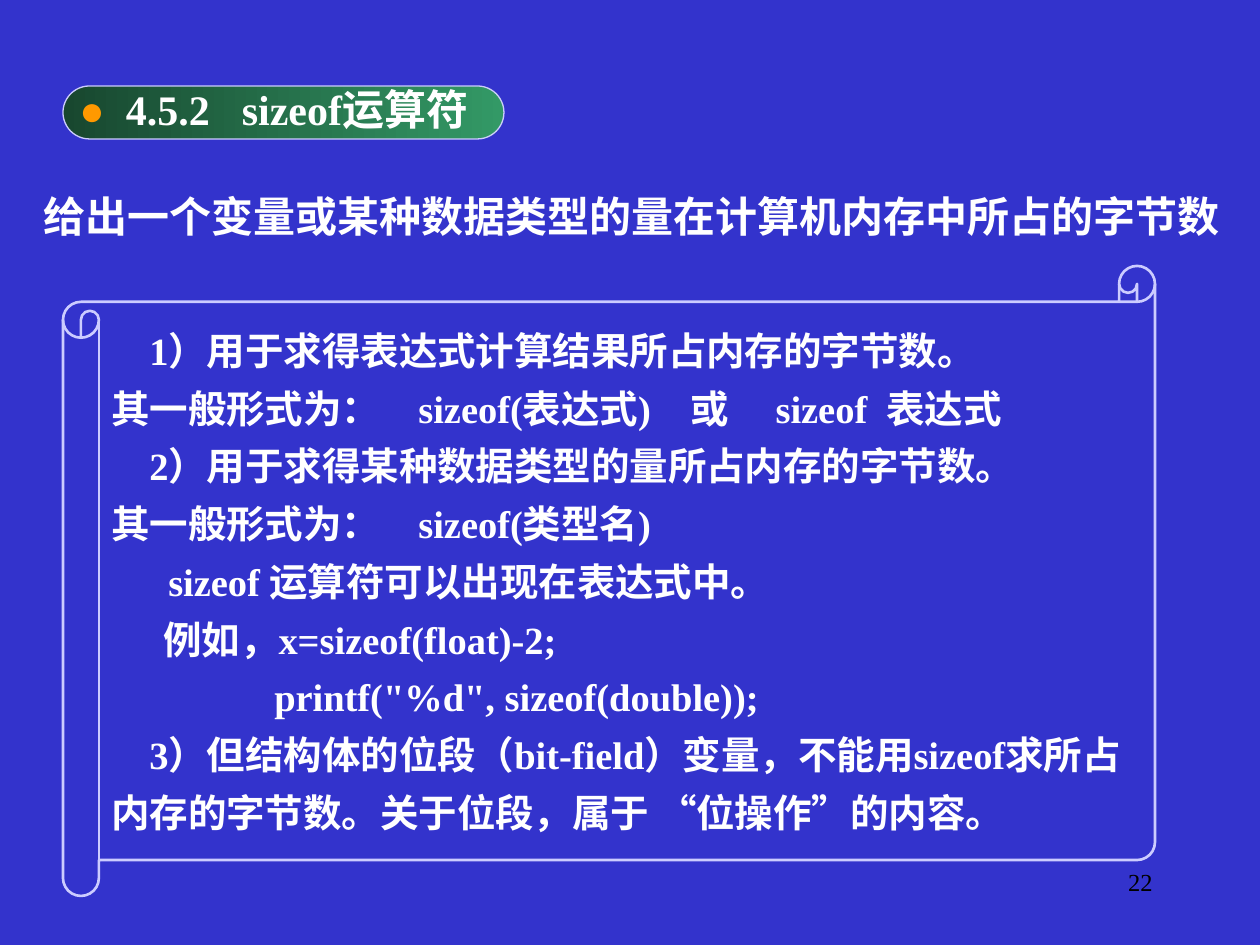
from pptx import Presentation
from pptx.dml.color import RGBColor
from pptx.enum.shapes import MSO_SHAPE as Preset
from pptx.enum.text import MSO_ANCHOR as Anchor, PP_ALIGN as Align
from pptx.util import Pt

PX = 914400 / 126
FONT = "Times New Roman"
WHITE, ORANGE, BLACK = "FFFFFF", "FF9900", "000000"
BLUE, LILAC = "3333CC", "CCCCFF"


def px(*lengths):
    return [round(length * PX) for length in lengths]


def write(para, pieces, size, color=WHITE, bold=True, indent=0, gaps=()):
    """Add pieces of text, parted by single spaces widened to the gaps in px."""
    para._p.get_or_add_pPr().set("marL", str(px(indent)[0]))
    para.font.name = FONT
    para.font.size = Pt(size)
    para.font.bold = bold
    para.font.color.rgb = RGBColor.from_string(color)
    for index, piece in enumerate(pieces):
        if index:
            space = para.add_run()
            space.text = " "
            extra = gaps[index - 1] * 72 / 126 - size / 4
            space.font._element.set("spc", str(round(extra * 100)))
        para.add_run().text = piece


deck = Presentation()
deck.slide_width, deck.slide_height = px(1260, 945)
page = deck.slides.add_slide(deck.slide_layouts[6])
page.background.fill.solid()
page.background.fill.fore_color.rgb = RGBColor.from_string(BLUE)

# Heading pill and scroll frame
pill = page.shapes.add_shape(Preset.ROUNDED_RECTANGLE, *px(63, 86, 441, 53))
pill.adjustments[0] = 0.5
pill.fill.gradient()
pill.fill.gradient_angle = 0
for stop, color in zip(pill.fill.gradient_stops, ("18472F", "339966")):
    stop.color.rgb = RGBColor.from_string(color)

scroll = page.shapes.add_shape(Preset.HORIZONTAL_SCROLL, *px(63, 266, 1092, 630))
scroll.adjustments[0] = 0.057
scroll.fill.background()

for shape, width in ((pill, 0.75), (scroll, 1.5)):
    shape.shadow.inherit = False
    shape.line.color.rgb = RGBColor.from_string(LILAC)
    shape.line.width = Pt(width)

# Heading, summary and page number
heading = page.shapes.add_textbox(*px(67, 77, 546, 63)).text_frame
heading.word_wrap = True
title = heading.paragraphs[0]
write(title, ["●", "4.5.2", "sizeof运算符"], 24, gaps=(21, 32))
bullet = title.runs[0].font
bullet.color.rgb = RGBColor.from_string(ORANGE)
bullet.bold = False

summary = page.shapes.add_textbox(*px(31, 184, 1229, 63)).text_frame
summary.word_wrap = True
write(summary.paragraphs[0], ["给出一个变量或某种数据类型的量在计算机内存中所占的字节数"], 24)

number = page.shapes.add_textbox(*px(903, 861, 262, 63)).text_frame
number.word_wrap = True
number.paragraphs[0].alignment = Align.RIGHT
write(number.paragraphs[0], ["22"], 14, BLACK, bold=False)

# Rules inside the scroll: indent, pieces of text
FORM_GAPS = (39, 39, 48, 19)
rules = [
    (38, ["1）用于求得表达式计算结果所占内存的字节数。"]),
    (0, ["其一般形式为：", "sizeof(表达式)", "或", "sizeof", "表达式"]),
    (38, ["2）用于求得某种数据类型的量所占内存的字节数。"]),
    (0, ["其一般形式为：", "sizeof(类型名)"]),
    (57, ["sizeof 运算符可以出现在表达式中。"]),
    (52, ["例如，x=sizeof(float)-2;"]),
    (163, ['printf("%d", sizeof(double));']),
    (38, ["3）但结构体的位段（bit-field）变量，不能用sizeof求所占"]),
    (0, ["内存的字节数。关于位段，属于 “位操作”的内容。"]),
]
body = scroll.text_frame
body.word_wrap = False
body.vertical_anchor = Anchor.MIDDLE
for index, (indent, pieces) in enumerate(rules):
    para = body.add_paragraph() if index else body.paragraphs[0]
    para.alignment = Align.LEFT
    if index:
        para.space_before = Pt(6.6)
    write(para, pieces, 22, indent=indent, gaps=FORM_GAPS)

deck.save("out.pptx")
